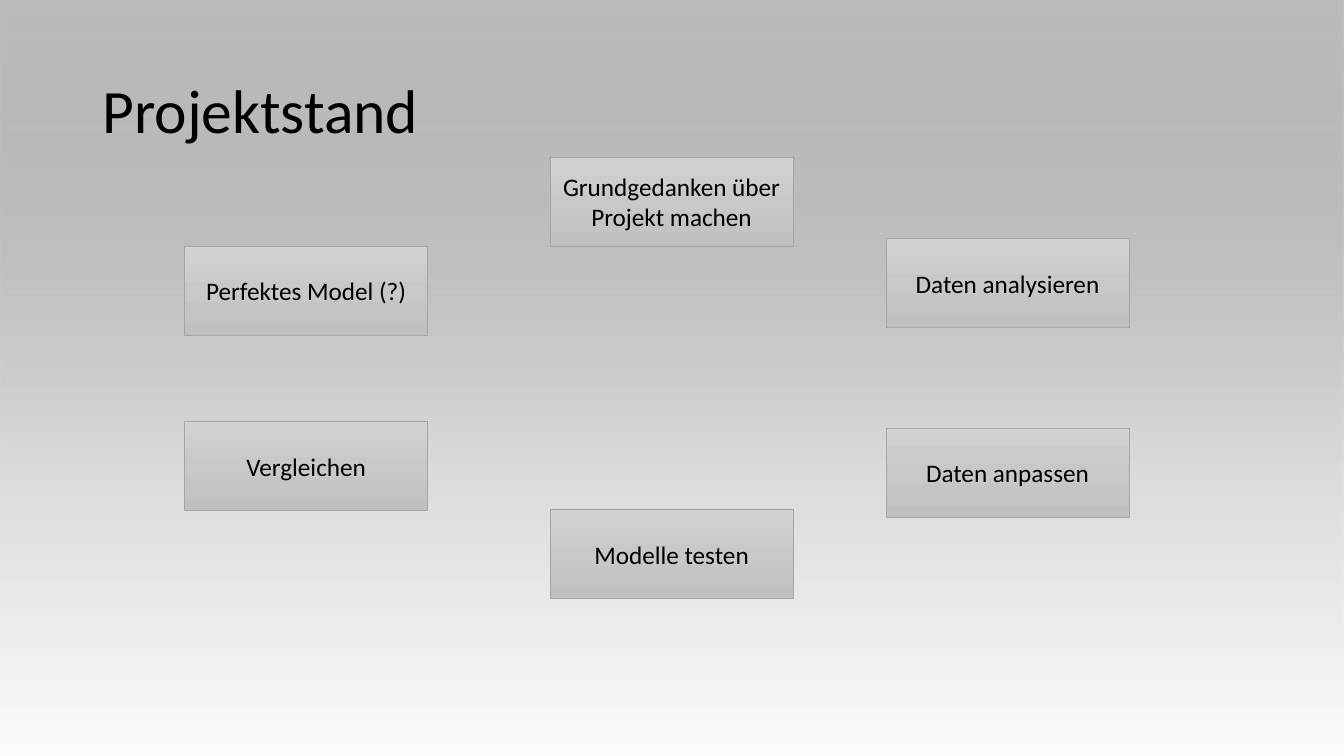
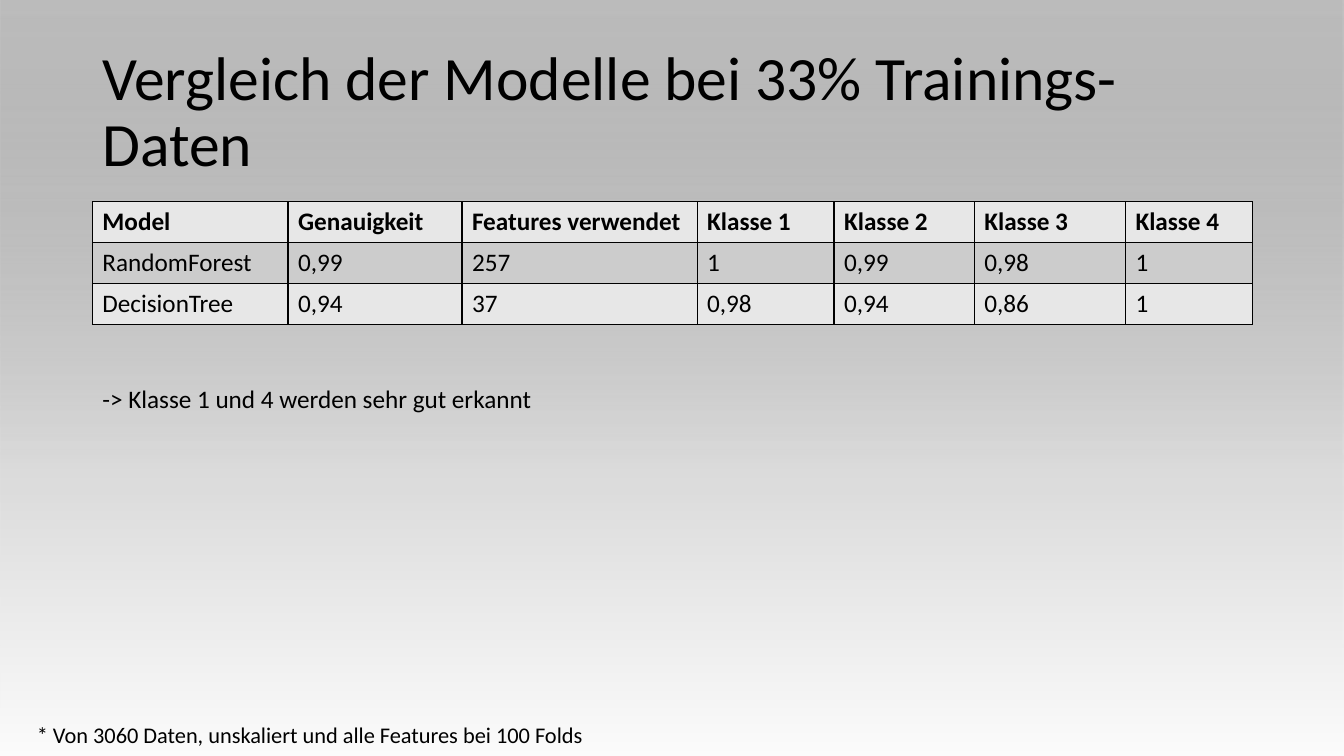
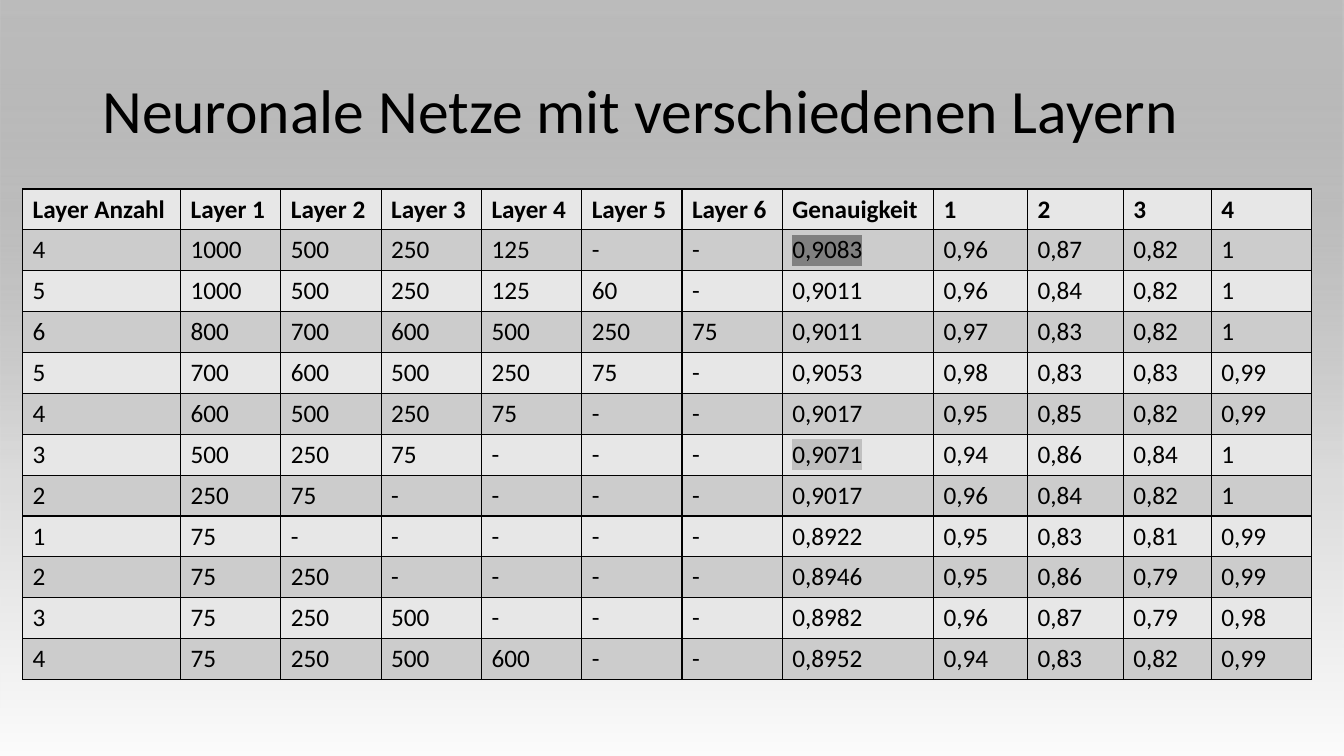
from lxml import etree
from pptx import Presentation
from pptx import util as u
from pptx.dml.color import RGBColor
from pptx.enum import shapes, text
from pptx.oxml import ns

FONT = "Calibri"
BLACK = RGBColor(0x00, 0x00, 0x00)
WHITE = RGBColor(0xFF, 0xFF, 0xFF)
EDGE = RGBColor(0xA5, 0xA5, 0xA5)
LIGHT_ROW = RGBColor(0xE7, 0xE7, 0xE7)
DARK_ROW = RGBColor(0xCC, 0xCC, 0xCC)
BEST = RGBColor(0x80, 0x80, 0x80)
SECOND = RGBColor(0xC0, 0xC0, 0xC0)

# Gradient stops: position, colour and opacity in percent
BACKDROP = [(0, WHITE, 100), (41, RGBColor(0xD9, 0xD9, 0xD9), 96),
            (100, RGBColor(0x6F, 0x6F, 0x6F), 46)]
STEP_FILL = [(0, RGBColor(0xD2, 0xD2, 0xD2), 100),
             (50, RGBColor(0xC8, 0xC8, 0xC8), 100),
             (100, RGBColor(0xC0, 0xC0, 0xC0), 100)]

deck = Presentation()
deck.slide_width, deck.slide_height = u.Inches(13.333), u.Inches(7.5)

# Square grid of 160 columns and 90 rows
COL = deck.slide_width / 160
ROW = deck.slide_height / 90


def write(frame, content, size=18, bold=False, align=text.PP_ALIGN.LEFT,
          anchor=None, spacing=None, highlight=None):
    """Put one formatted paragraph into a text frame."""
    frame.word_wrap = True
    if anchor is not None:
        frame.vertical_anchor = anchor
    para = frame.paragraphs[0]
    para.alignment = align
    if spacing:
        para.line_spacing = spacing
    span = para.add_run()
    span.text = content
    span.font.name, span.font.size, span.font.bold = FONT, u.Pt(size), bold
    span.font.color.rgb = BLACK
    if highlight:
        mark = etree.Element(ns.qn("a:highlight"))
        etree.SubElement(mark, ns.qn("a:srgbClr"), val=str(highlight))
        span.font._element.find(ns.qn("a:solidFill")).addnext(mark)


def add_gradient_box(page, left, top, width, height, stops, angle):
    """Add a rectangle with a linear gradient, angle clockwise in degrees."""
    box = page.shapes.add_shape(shapes.MSO_SHAPE.RECTANGLE, int(left * COL),
                                int(top * ROW), int(width * COL), int(height * ROW))
    box.shadow.inherit = False
    box.line.fill.background()
    box.fill.background()
    blend = etree.Element(ns.qn("a:gradFill"), rotWithShape="1")
    stop_list = etree.SubElement(blend, ns.qn("a:gsLst"))
    for position, colour, opacity in stops:
        stop = etree.SubElement(stop_list, ns.qn("a:gs"), pos=str(position * 1000))
        paint = etree.SubElement(stop, ns.qn("a:srgbClr"), val=str(colour))
        if opacity < 100:
            etree.SubElement(paint, ns.qn("a:alpha"), val=str(opacity * 1000))
    etree.SubElement(blend, ns.qn("a:lin"), ang=str(angle * 60000), scaled="0")
    properties = box._element.spPr
    properties.replace(properties.find(ns.qn("a:noFill")), blend)
    return box


# Backdrop and title of every slide
pages = []
for title in ["Projektstand", "Vergleich der Modelle bei 33% Trainings-Daten",
              "Neuronale Netze mit verschiedenen Layern"]:
    page = deck.slides.add_slide(deck.slide_layouts[6])
    add_gradient_box(page, 0, 0, 160, 93.7, BACKDROP, 270)
    box = page.shapes.add_textbox(int(11 * COL), int(4.8 * ROW),
                                  int(138 * COL), int(17.4 * ROW))
    write(box.text_frame, title, size=44, spacing=0.9, anchor=text.MSO_ANCHOR.MIDDLE)
    pages.append(page)
status_page, models_page, networks_page = pages

# Project cycle, clockwise from the top
LEFT, CENTRE, RIGHT = 22, 65.5, 105.5
for left, top, step in [
    (CENTRE, 18.7, "Grundgedanken über Projekt machen"),
    (RIGHT, 28.4, "Daten analysieren"),
    (RIGHT, 51, "Daten anpassen"),
    (CENTRE, 60.7, "Modelle testen"),
    (LEFT, 50.2, "Vergleichen"),
    (LEFT, 29.3, "Perfektes Model (?)"),
]:
    box = add_gradient_box(status_page, left, top, 28.9, 10.6, STEP_FILL, 90)
    box.line.color.rgb, box.line.width = EDGE, u.Pt(0.5)
    write(box.text_frame, step, align=text.PP_ALIGN.CENTER,
          anchor=text.MSO_ANCHOR.MIDDLE)

# Table contents, with | between cells
model_rows = [
    "Model|Genauigkeit|Features verwendet|Klasse 1|Klasse 2|Klasse 3|Klasse 4",
    "RandomForest|0,99|257|1|0,99|0,98|1",
    "DecisionTree|0,94|37|0,98|0,94|0,86|1",
]
network_rows = [
    "Layer Anzahl|Layer 1|Layer 2|Layer 3|Layer 4|Layer 5|Layer 6|Genauigkeit|1|2|3|4",
    "4|1000|500|250|125|-|-|0,9083|0,96|0,87|0,82|1",
    "5|1000|500|250|125|60|-|0,9011|0,96|0,84|0,82|1",
    "6|800|700|600|500|250|75|0,9011|0,97|0,83|0,82|1",
    "5|700|600|500|250|75|-|0,9053|0,98|0,83|0,83|0,99",
    "4|600|500|250|75|-|-|0,9017|0,95|0,85|0,82|0,99",
    "3|500|250|75|-|-|-|0,9071|0,94|0,86|0,84|1",
    "2|250|75|-|-|-|-|0,9017|0,96|0,84|0,82|1",
    "1|75|-|-|-|-|-|0,8922|0,95|0,83|0,81|0,99",
    "2|75|250|-|-|-|-|0,8946|0,95|0,86|0,79|0,99",
    "3|75|250|500|-|-|-|0,8982|0,96|0,87|0,79|0,98",
    "4|75|250|500|600|-|-|0,8952|0,94|0,83|0,82|0,99",
]
model_widths = [23.3, 20.7, 28, 16.3, 16.7, 18, 15.1]
network_widths = [18.8] + [11.94] * 6 + [18, 11.2, 11.4, 10.5, 11.9]
highlights = {"0,9083": BEST, "0,9071": SECOND}
ROW_HEIGHT = 4.87

# Tables
for page, left, top, widths, rows in [
    (models_page, 11, 24, model_widths, model_rows),
    (networks_page, 2.7, 22.5, network_widths, network_rows),
]:
    table = page.shapes.add_table(
        len(rows), len(widths), int(left * COL), int(top * ROW),
        int(sum(widths) * COL), int(len(rows) * ROW_HEIGHT * ROW)).table
    table.first_row = table.horz_banding = False
    for column, width in zip(table.columns, widths):
        column.width = int(width * COL)
    for r, line in enumerate(rows):
        table.rows[r].height = int(ROW_HEIGHT * ROW)
        for c, value in enumerate(line.split("|")):
            cell = table.cell(r, c)
            cell.fill.solid()
            cell.fill.fore_color.rgb = DARK_ROW if r % 2 else LIGHT_ROW
            write(cell.text_frame, value, bold=r == 0, highlight=highlights.get(value))
            # Black border on all four sides, ahead of the fill
            properties = cell._tc.get_or_add_tcPr()
            for place, side in enumerate(["a:lnL", "a:lnR", "a:lnT", "a:lnB"]):
                border = etree.Element(ns.qn(side), w=str(u.Pt(1)))
                paint = etree.SubElement(border, ns.qn("a:solidFill"))
                etree.SubElement(paint, ns.qn("a:srgbClr"), val=str(BLACK))
                properties.insert(place, border)

# Finding and footnote of the model comparison
for left, top, height, size, note in [
    (11, 45, 4.8, 18, "-> Klasse 1 und 4 werden sehr gut erkannt"),
    (3.2, 85.2, 4.4, 16, "* Von 3060 Daten, unskaliert und alle Features bei 100 Folds"),
]:
    box = models_page.shapes.add_textbox(int(left * COL), int(top * ROW),
                                         int(138 * COL), int(height * ROW))
    write(box.text_frame, note, size=size)

deck.save("out.pptx")
